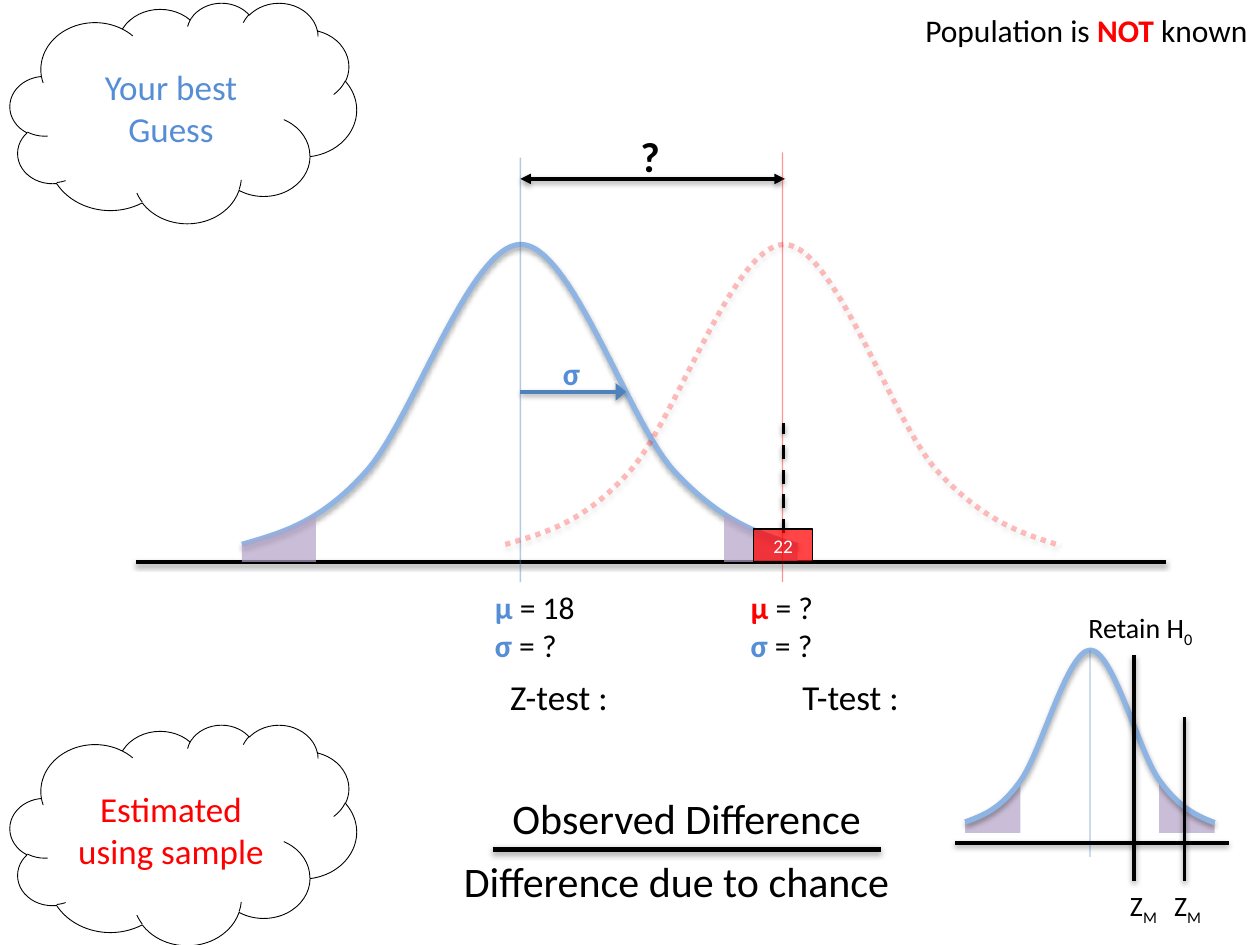
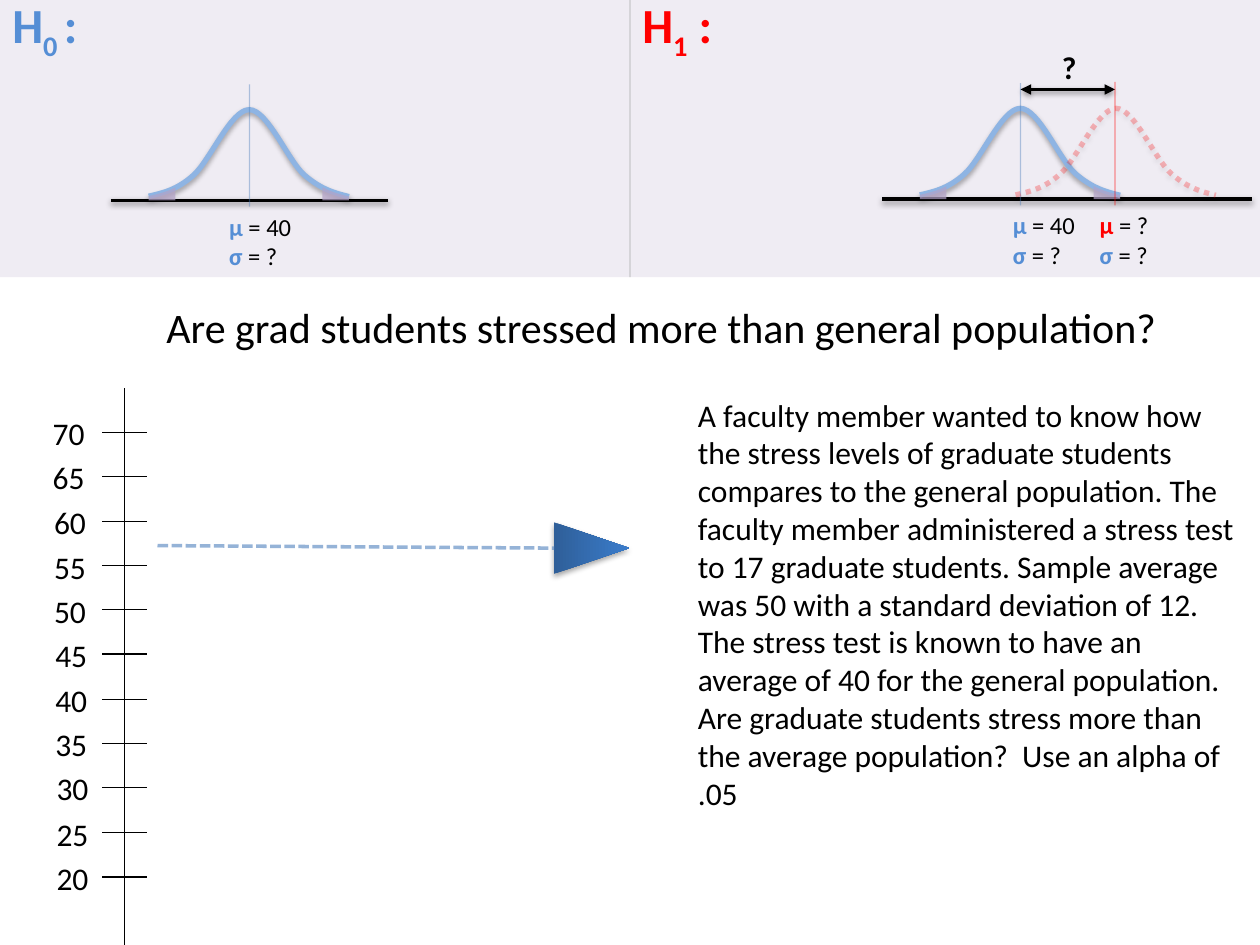
from lxml import etree
from pptx import Presentation, util as u
from pptx.dml.color import RGBColor
from pptx.enum import dml, shapes, text
from pptx.oxml.ns import qn

PX = 9144
FONT = "Calibri"
BLACK, WHITE, RED = "000000", "FFFFFF", "FF0000"
BLUE, SKY, NAVY, LILAC = "558ED5", "8EB4E3", "4B7EBC", "B3A2C7"
LEFT, MID, RIGHT = text.PP_ALIGN.LEFT, text.PP_ALIGN.CENTER, text.PP_ALIGN.RIGHT
DOT, DASH, SHORT = (dml.MSO_LINE.ROUND_DOT, dml.MSO_LINE.DASH,
                    dml.MSO_LINE.SQUARE_DOT)
FORM = shapes.MSO_SHAPE
BELL = ((0, .996), (.07, .958), (.14, .925), (.222, .757), (.306, .59),
        (.41, 0), (.502, 0), (.593, 0), (.696, .59), (.778, .753),
        (.862, .92), (.93, .96), (1, 1))
STORY = (
    "A faculty member wanted to know how the stress levels of graduate students "
    "compares to the general population. The faculty member administered a stress "
    "test to 17 graduate students. Sample average was 50 with a standard deviation "
    "of 12. The stress test is known to have an average of 40 for the general "
    "population. Are graduate students stress more than the average population?  "
    "Use an alpha of .05")


def emu(*vals):
    """Turn px lengths into EMU."""
    return [round(v * PX) for v in vals]


def rgb(hue):
    """Make a colour from a hex string."""
    return RGBColor.from_string(hue)


def paint(fill, hue, alpha=100):
    """Fill with one colour at an opacity in percent."""
    fill.solid()
    fill.fore_color.rgb = rgb(hue)
    if alpha < 100:
        clr = fill._xPr.find(qn("a:solidFill"))[0]
        etree.SubElement(clr, qn("a:alpha"), val=str(alpha * 1000))


def shade(item, alpha=0, dist=20000):
    """Replace the theme shadow by a soft one below, or by none."""
    prop = item._element.spPr
    if prop.find(qn("a:effectLst")) is None:
        etree.SubElement(prop, qn("a:effectLst"))
    if alpha:
        drop = etree.SubElement(
            prop.find(qn("a:effectLst")), qn("a:outerShdw"), blurRad="40000",
            dist=str(dist), dir="5400000", rotWithShape="0")
        clr = etree.SubElement(drop, qn("a:srgbClr"), val=BLACK)
        etree.SubElement(clr, qn("a:alpha"), val=str(alpha * 1000))


def pen(line, hue, wide, alpha=100, dash=None):
    """Set the colour, width and dash of a line."""
    paint(line.fill, hue, alpha)
    line.width = u.Pt(wide)
    if dash:
        line.dash_style = dash


def rule(sl, x1, y1, x2, y2, hue=BLACK, wide=2.0, alpha=100, dash=None,
         ends=(), size="med", glow=38):
    """Draw a straight line with optional arrowheads."""
    line = sl.shapes.add_connector(
        shapes.MSO_CONNECTOR.STRAIGHT, *emu(x1, y1, x2, y2))
    pen(line.line, hue, wide, alpha, dash)
    for end in ends:
        etree.SubElement(line.line._get_or_add_ln(), qn(f"a:{end}End"),
                         type="triangle", w=size)
    shade(line, glow)


def write(frame, paras, size, align=LEFT):
    """Write paragraphs made of (text, colour, bold, baseline) runs."""
    frame.word_wrap = True
    for i, runs in enumerate(paras):
        para = frame.add_paragraph() if i else frame.paragraphs[0]
        para.alignment = align
        for word, hue, bold, base in runs:
            run = para.add_run()
            run.text = word
            run.font.name, run.font.size = FONT, u.Pt(size)
            run.font.bold = bold
            run.font.color.rgb = rgb(hue)
            if base:
                run._r.get_or_add_rPr().set("baseline", str(base * 1000))


def bit(word, hue=BLACK, bold=False, base=0):
    """Describe one run."""
    return word, hue, bold, base


def note(sl, box, paras, size, align=LEFT):
    """Add a text box."""
    frame = sl.shapes.add_textbox(*emu(*box)).text_frame
    write(frame, paras, size, align)
    return frame


def form(sl, kind, box):
    """Add a bare preset shape."""
    item = sl.shapes.add_shape(kind, *emu(*box))
    item.shadow.inherit = False
    item.fill.background()
    item.line.fill.background()
    return item


def label(sl, kind, box, word, size, hue):
    """Add a preset shape with centred words."""
    item = form(sl, kind, box)
    item.text_frame.vertical_anchor = text.MSO_ANCHOR.MIDDLE
    write(item.text_frame, [[bit(word, hue)]], size, MID)
    return item


def free(sl, pts, close):
    """Build an outline through points."""
    pts = [emu(*p) for p in pts]
    make = sl.shapes.build_freeform(*pts[0], scale=1.0)
    make.add_line_segments(pts[1:], close=close)
    item = make.convert_to_shape()
    item.shadow.inherit = False
    return item


def bend(item):
    """Turn each three straight steps of an outline into one cubic curve."""
    steps = list(item._element.iter(qn("a:lnTo")))
    for i in range(0, len(steps), 3):
        cubic = etree.Element(qn("a:cubicBezTo"))
        steps[i].addprevious(cubic)
        for step in steps[i:i + 3]:
            cubic.append(step[0])
            step.getparent().remove(step)


def curve(sl, box, hue=SKY, alpha=100, dash=None):
    """Draw a bell curve."""
    x, y, w, h = box
    item = free(sl, [(x + px * w, y + py * h) for px, py in BELL], False)
    bend(item)
    item.fill.background()
    pen(item.line, hue, 3, alpha, dash)
    shade(item, 35, 23000)


def along(knots, t):
    """Find the point at a share of one cubic curve."""
    mix = (1 - t) ** 3, 3 * t * (1 - t) ** 2, 3 * t * t * (1 - t), t ** 3
    return [sum(m * v for m, v in zip(mix, vals)) for vals in zip(*knots)]


def tails(sl, box, part, base):
    """Shade both ends of a bell curve down to its base."""
    x, y, w, h = box
    for knots in (BELL[:4], BELL[:8:-1]):
        ends = [along(knots, part * k / 5) for k in range(6)]
        pts = [(x + px * w, y + py * h) for px, py in ends]
        foot = [(pts[-1][0], y + base), (pts[0][0], y + base)]
        item = free(sl, pts + foot, True)
        paint(item.fill, LILAC, 70)
        item.line.fill.background()


def mean(sl, x, top, end, hue=NAVY):
    """Mark a mean with a thin line."""
    rule(sl, x, top, x, end, hue, .75, 42, glow=0)


def stats(sl, box, hue, value, size):
    """List the mean and the unknown spread."""
    note(sl, box, [[bit("µ", hue, True), bit(f" = {value}")],
                   [bit("σ", BLUE, True), bit(" = ?")]], size)


def pair(sl, x, y):
    """Draw the large pair of bells."""
    box = x, y, 441, 239
    rule(sl, x - 84, y + 252, x + 733, y + 252)
    curve(sl, box)
    mean(sl, x + 221, y - 69, y + 268)
    stats(sl, (x + 191, y + 268, 92, 71), BLUE, "18", 18)
    rule(sl, x + 221, y + 117, x + 305, y + 117, "4F81BD", ends=("tail",),
         size="lg")
    note(sl, (x + 245, y + 82, 37, 40), [[bit("σ", BLUE, True)]], 18)
    tails(sl, box, .62, 252)
    curve(sl, (x + 209, *box[1:]), RED, 26, DOT)
    rule(sl, x + 221, y - 52, x + 431, y - 52, ends=("head", "tail"))
    mean(sl, x + 429, y - 73, y + 268, RED)
    note(sl, (x + 278, y - 95, 92, 50), [[bit("?", bold=True)]], 24, MID)
    stats(sl, (x + 394, y + 268, 92, 71), RED, "?", 18)
    rule(sl, x + 430, y + 229, x + 430, y + 142, dash=DASH)
    score = label(sl, FORM.RECTANGLE, (x + 406, y + 226, 47, 26), "22", 11, WHITE)
    paint(score.fill, RED, 73)
    pen(score.line, BLACK, 1)


def retain(sl, x, y):
    """Draw the small bell with two test values."""
    box = x, y, 198, 137
    tails(sl, box, 1, 145)
    curve(sl, box)
    mean(sl, x + 99, y, y + 164)
    rule(sl, x - 8, y + 153, x + 209, y + 153)
    for dx, top, left in ((174, 53, 151), (134, 4, 116)):
        rule(sl, x + dx, y + top, x + dx, y + 183)
        note(sl, (x + left, y + 184, 51, 37), [[bit("Z"), bit("M", base=-25)]],
             16, MID)
    note(sl, (x + 88, y - 36, 121, 37), [[bit("Retain H"), bit("0", base=-25)]], 16)


def ratio(sl, x, y):
    """Set the two differences as a fraction."""
    rule(sl, x + 50, y + 50, x + 358, y + 50, wide=3, glow=35)
    note(sl, (x + 50, y, 308, 50), [[bit("Observed Difference")]], 24, MID)
    note(sl, (x, y + 50, 392, 50), [[bit("Difference due to chance")]], 24, MID)


def null(sl, x, y, end, dx):
    """Draw the small bell of the null hypothesis."""
    box = x, y, 159, 69
    rule(sl, x - 30, y + 72, x + end, y + 72)
    curve(sl, box)
    mean(sl, x + 80, y - 20, y + 77)
    stats(sl, (x + dx, y + 76, 99, 57), BLUE, "40", 14)
    tails(sl, box, .62, 72)


def other(sl, x, y):
    """Add the bell of the alternative hypothesis."""
    curve(sl, (x + 76, y, 159, 69), RED, 26, DOT)
    rule(sl, x + 80, y - 15, x + 155, y - 15, ends=("head", "tail"))
    mean(sl, x + 155, y - 21, y + 77, RED)
    stats(sl, (x + 133, y + 76, 113, 57), RED, "?", 14)
    note(sl, (x + 95, y - 53, 47, 40), [[bit("?", bold=True)]], 18, MID)


def band(sl, x, y, w, h):
    """Draw the band that holds both hypotheses."""
    paint(form(sl, FORM.RECTANGLE, (x, y, w, h)).fill, LILAC, 20)
    half = x + w // 2
    for left, hue, sub, end in ((x, BLUE, "0 ", ":"), (half, RED, "1", " :")):
        note(sl, (left, y - 9, w // 2, 57),
             [[bit("H", hue, True), bit(sub, hue, True, -25), bit(end, hue, True)]],
             28)
    null(sl, x + 118, y + 87, 190, 54)
    null(sl, half + 230, y + 86, 264, 64)
    other(sl, half + 230, y + 86)
    rule(sl, half, y, half, y + h, "BFBFBF", .75, 79, glow=0)


def scale(sl, x, y):
    """Draw the stress scale from 70 down to 20."""
    rule(sl, x + 99, y, x + 99, y + 442, wide=.75, glow=0)
    for i, mark in enumerate(range(70, 19, -5)):
        step = round(353 * i / 10)
        rule(sl, x + 81, y + 35 + step, x + 117, y + 35 + step, wide=.75, glow=0)
        frame = note(sl, (x - 2 + (i + 1) // 3, y + 18 + step, 79, 35),
                     [[bit(str(mark))]], 18, RIGHT)
        frame.vertical_anchor = text.MSO_ANCHOR.MIDDLE


def pointer(sl, x, y):
    """Draw the dashed pointer with its large head."""
    head = form(sl, FORM.ISOSCELES_TRIANGLE, (x + 324, y - 28, 41, 60))
    head.rotation = 90
    head.fill.gradient()
    head.fill.gradient_angle = 90
    for stop, hue in zip(head.fill.gradient_stops, ("2F5F99", "3A7CCB")):
        stop.color.rgb = rgb(hue)
    shade(head, 35, 23000)
    rule(sl, x, y, x + 315, y + 2, NAVY, alpha=58, dash=SHORT, glow=0)


def title(sl, box, word):
    """Place and format the slide title."""
    head = sl.shapes.title
    head.left, head.top, head.width, head.height = emu(*box)
    head.text_frame.auto_size = text.MSO_AUTO_SIZE.NONE
    head.text_frame.vertical_anchor = text.MSO_ANCHOR.TOP
    write(head.text_frame, [[bit(word)]], 24, MID)


def tests(sl):
    """Build the slide that compares the tests."""
    pair(sl, 192, 194)
    for top, word, hue in ((2, "Your best Guess", BLUE),
                           (575, "Estimated using sample", RED)):
        cloud = label(sl, FORM.CLOUD, (8, top, 275, 175), word, 20, hue)
        pen(cloud.line, BLACK, .5)
    note(sl, (701, 4, 299, 40), [[bit("Population is "), bit("NOT", RED, True),
                                  bit(" known")]], 18, RIGHT)
    for left, word in ((395, "Z-test :"), (627, "T-test :")):
        note(sl, (left, 531, 121, 44), [[bit(word)]], 20)
    retain(sl, 766, 516)
    ratio(sl, 341, 624)


def stress(sl):
    """Build the slide with the stress example."""
    title(sl, (100, 234, 850, 50),
          "Are grad students stressed more than general population?")
    band(sl, 0, 0, 1000, 220)
    pointer(sl, 125, 433)
    scale(sl, 0, 308)
    note(sl, (544, 309, 451, 343), [[bit(STORY)]], 18)


def main():
    """Build and save both slides."""
    deck = Presentation()
    deck.slide_width, deck.slide_height = emu(1000, 750)
    tests(deck.slides.add_slide(deck.slide_layouts[6]))
    stress(deck.slides.add_slide(deck.slide_layouts[5]))
    deck.save("out.pptx")


if __name__ == "__main__":
    main()
